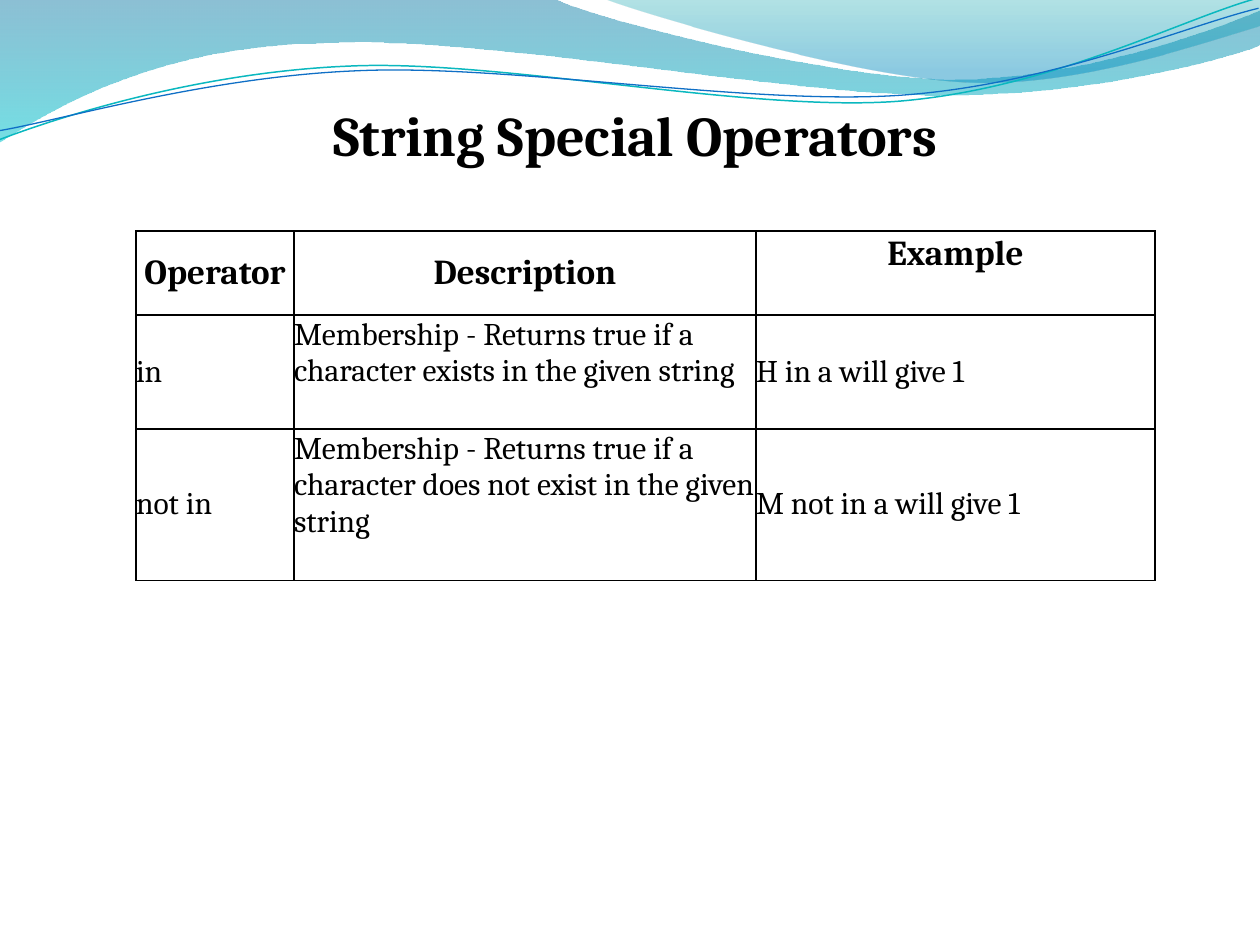
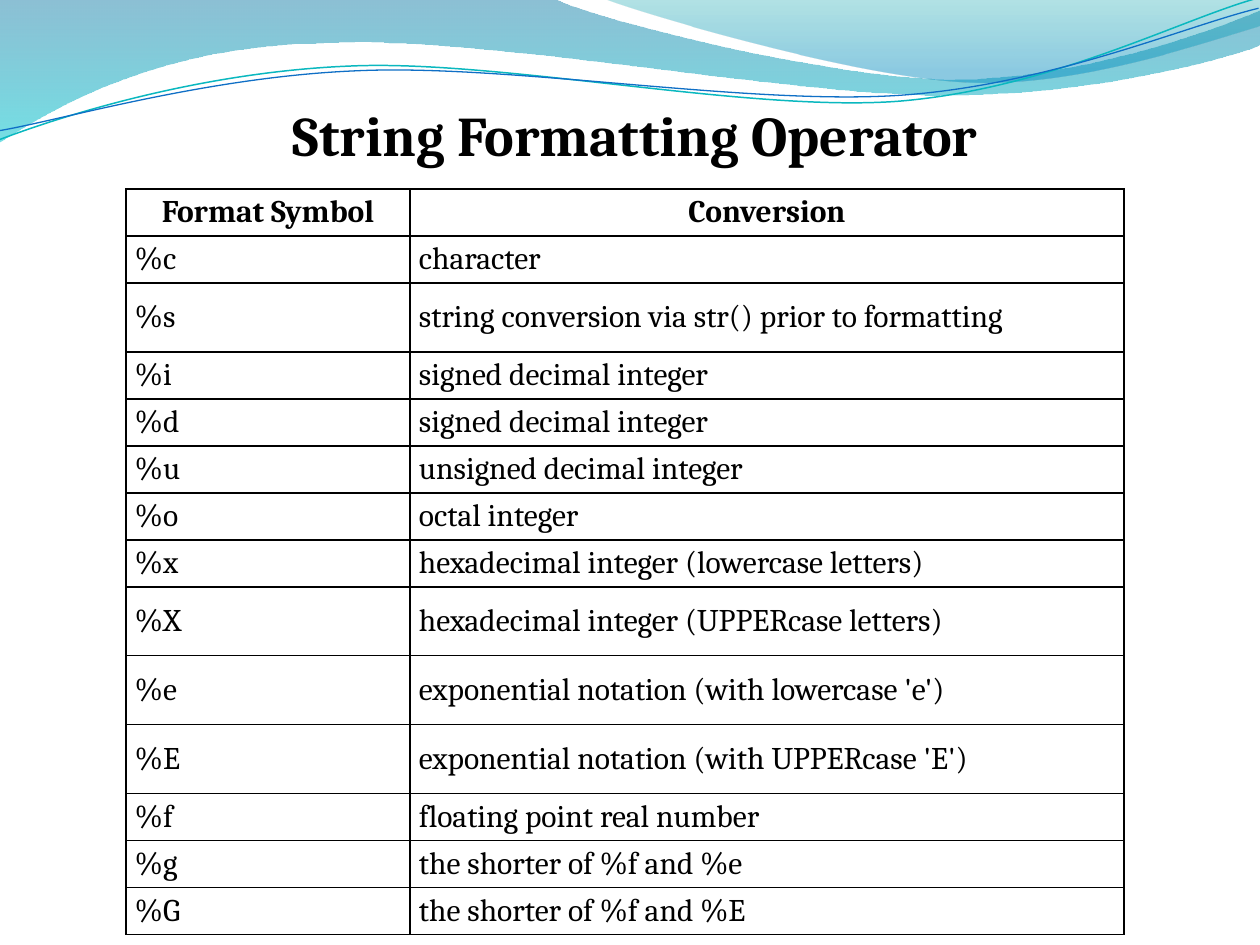
from lxml.etree import SubElement
from pptx import Presentation
from pptx.dml.color import RGBColor
from pptx.enum.text import MSO_ANCHOR, MSO_AUTO_SIZE, PP_ALIGN
from pptx.oxml.ns import qn
from pptx.util import Emu, Pt

PIXELS_PER_INCH = 126

UPPER_BAND = [
    (0, 0), (554, -1),
    (600, 21, 837, 79, 955, 79), (1075, 79, 1207, 33, 1260, 11),
    (1261, 45),
    (1239, 55, 1096, 96, 940, 95), (783, 95, 481, 35, 324, 43),
    (163, 45, 58, 105, -1, 142), (0, 0),
]
RIGHT_BAND = [
    (604, -1),
    (641, 14, 859, 78, 969, 82), (1079, 87, 1211, 40, 1260, 26),
    (1260, 0), (604, -1),
]
TEAL_WAVE = [
    (-3, 110),
    (58, 90, 199, 52, 350, 53), (499, 53, 745, 118, 896, 114),
    (1049, 109, 1184, 45, 1260, 28),
]
BLUE_WAVE = [
    (-3, 101),
    (57, 94, 207, 57, 357, 58), (509, 58, 750, 112, 902, 108),
    (1052, 104, 1188, 52, 1261, 38),
]
WAVE_ROTATION = 357.3

SPECIAL_OPERATORS = [
    ("Operator", "Description", "Example"),
    ("in", "Membership - Returns true if a character exists in the given string",
     "H in a will give 1"),
    ("not in", "Membership - Returns true if a character does not exist in the given string",
     "M not in a will give 1"),
]
RAISED_CELLS = {(0, 2), (1, 1), (2, 1)}

FORMAT_SYMBOLS = [
    ("Format Symbol", "Conversion"),
    ("%c", "character"),
    ("%s", "string conversion via str() prior to formatting"),
    ("%i", "signed decimal integer"),
    ("%d", "signed decimal integer"),
    ("%u", "unsigned decimal integer"),
    ("%o", "octal integer"),
    ("%x", "hexadecimal integer (lowercase letters)"),
    ("%X", "hexadecimal integer (UPPERcase letters)"),
    ("%e", "exponential notation (with lowercase 'e')"),
    ("%E", "exponential notation (with UPPERcase 'E')"),
    ("%f", "floating point real number"),
    ("%g", "the shorter of %f and %e"),
    ("%G", "the shorter of %f and %E"),
]
TALL_SYMBOLS = {"%s", "%X", "%e", "%E"}


def px(length):
    return Emu(round(length * 914400 / PIXELS_PER_INCH))


def color(hex_string):
    return RGBColor.from_string(hex_string)


class Deck:
    font = "Cambria"
    ink = "000000"

    def __init__(self):
        self.presentation = Presentation()
        self.presentation.slide_width = px(1260)
        self.presentation.slide_height = px(945)
        self.slide = None

    def add_slide(self, title):
        self.slide = self.presentation.slides.add_slide(self.presentation.slide_layouts[6])
        self.add_band(UPPER_BAND, (-1, -1, 1262, 143), [(0, "0074A1", 45), (100, "00C6CF", 55)])
        self.add_band(RIGHT_BAND, (604, -1, 656, 88), [(0, "00A1A9", 30), (80, "008BBF", 45)])
        self.add_wave(TEAL_WAVE, (-3, 28, 1263, 89), "0AB8BF", 0.85)
        self.add_wave(BLUE_WAVE, (-3, 38, 1264, 73), "0F6FC6", 0.75)
        self.add_title(title)

    def add_outline(self, outline, box, close):
        ends = [tuple(px(value) for value in segment[-2:]) for segment in outline]
        builder = self.slide.shapes.build_freeform(*ends[0])
        builder.add_line_segments(ends[1:], close=close)
        shape = builder.convert_to_shape()
        shape.shadow.inherit = False
        left, top, width, height = box
        shape.left, shape.top, shape.width, shape.height = map(px, box)
        path = next(shape._element.iter(qn("a:path")))
        path.set("w", str(px(width)))
        path.set("h", str(px(height)))
        for segment, command in zip(outline, list(path)):
            curved = len(segment) == 6
            target = path.makeelement(qn("a:cubicBezTo")) if curved else command
            for point in list(target):
                target.remove(point)
            for x, y in zip(segment[::2], segment[1::2]):
                SubElement(target, qn("a:pt"), x=str(px(x - left)), y=str(px(y - top)))
            if curved:
                path.replace(command, target)
        return shape

    def add_band(self, outline, box, stops):
        shape = self.add_outline(outline, box, True)
        shape.line.fill.background()
        shape.fill.gradient()
        shape.fill.gradient_angle = 270
        for stop, (position, hex_string, _) in zip(shape.fill.gradient_stops, stops):
            stop.position = position / 100
            stop.color.rgb = color(hex_string)
        tints = shape._element.spPr.iter(qn("a:srgbClr"))
        for tint, (_, _, opacity) in zip(tints, stops):
            SubElement(tint, qn("a:alpha"), val=str(opacity * 1000))

    def add_wave(self, outline, box, hex_string, width):
        shape = self.add_outline(outline, box, False)
        shape.rotation = WAVE_ROTATION
        shape.fill.background()
        shape.line.color.rgb = color(hex_string)
        shape.line.width = Pt(width)

    def add_title(self, text):
        shape = self.slide.shapes.add_textbox(px(53), px(94), px(1165), px(81))
        shape.text_frame.word_wrap = True
        shape.text_frame.auto_size = MSO_AUTO_SIZE.SHAPE_TO_FIT_TEXT
        self.add_run(shape.text_frame.paragraphs[0], text, 32, True)

    def add_run(self, paragraph, text, size, heading):
        paragraph.alignment = PP_ALIGN.CENTER if heading else PP_ALIGN.LEFT
        run = paragraph.add_run()
        run.text = text
        run.font.name = self.font
        run.font.size = Pt(size)
        run.font.bold = heading
        run.font.color.rgb = color(self.ink)

    def add_table(self, left, top, widths, heights, rows, header_size, margins, raised=()):
        table = self.slide.shapes.add_table(
            len(rows), len(widths), px(left), px(top), px(sum(widths)), px(sum(heights))).table
        table.first_row = table.horz_banding = False
        for column, width in zip(table.columns, widths):
            column.width = px(width)
        for row, height in zip(table.rows, heights):
            row.height = px(height)
        side, edge = margins
        for row_index, texts in enumerate(rows):
            heading = row_index == 0
            for column_index, text in enumerate(texts):
                cell = table.cell(row_index, column_index)
                cell.margin_left = cell.margin_right = px(side)
                cell.margin_top = px(edge)
                cell.margin_bottom = px(38 if (row_index, column_index) in raised else edge)
                cell.vertical_anchor = MSO_ANCHOR.MIDDLE
                self.add_borders(cell)
                cell.fill.background()
                self.add_run(cell.text_frame.paragraphs[0], text,
                             header_size if heading else 18, heading)

    def add_borders(self, cell):
        properties = cell._tc.get_or_add_tcPr()
        for side in "LRTB":
            border = SubElement(properties, qn(f"a:ln{side}"), w=str(Pt(1)))
            fill = SubElement(border, qn("a:solidFill"))
            SubElement(fill, qn("a:srgbClr"), val=self.ink)


def main():
    deck = Deck()

    deck.add_slide("String Special Operators")
    deck.add_table(136, 231, [158, 462, 399], [84, 114, 151], SPECIAL_OPERATORS,
                   20, (0, 0), RAISED_CELLS)

    deck.add_slide("String Formatting Operator")
    heights = [69 if symbol in TALL_SYMBOLS else 47 for symbol, _ in FORMAT_SYMBOLS]
    deck.add_table(126, 189, [284, 714], heights, FORMAT_SYMBOLS, 18, (9, 4))

    deck.presentation.save("out.pptx")


if __name__ == "__main__":
    main()
